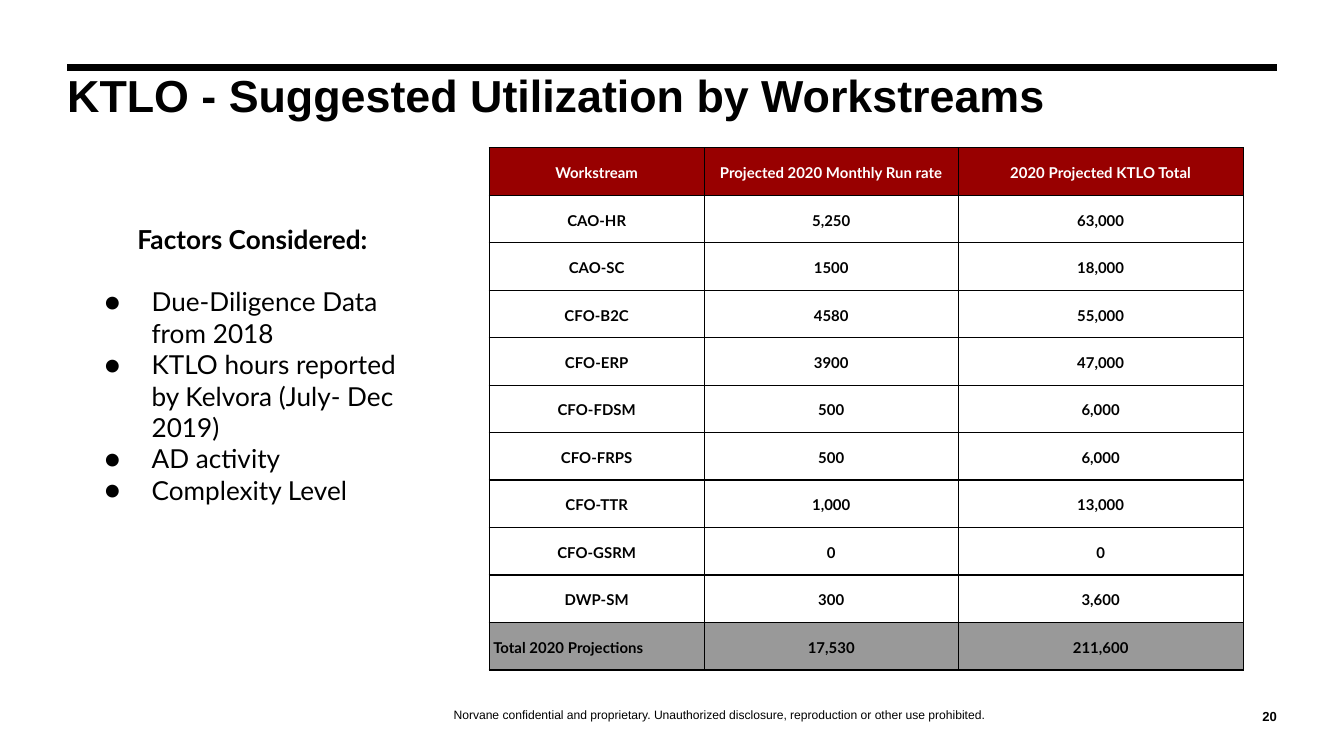
import lxml.etree
import pptx
import pptx.dml.color
import pptx.enum.shapes
import pptx.enum.text
import pptx.oxml.ns
import pptx.util

Inches = pptx.util.Inches
Pt = pptx.util.Pt
RGBColor = pptx.dml.color.RGBColor
ALIGN = pptx.enum.text.PP_ALIGN
ANCHOR = pptx.enum.text.MSO_ANCHOR
qn = pptx.oxml.ns.qn

BLACK = RGBColor(0x00, 0x00, 0x00)
WHITE = RGBColor(0xFF, 0xFF, 0xFF)
HEADER_RED = RGBColor(0x98, 0x00, 0x00)
TOTAL_GRAY = RGBColor(0x99, 0x99, 0x99)

SLIDE_WIDTH = 10
COLUMN_WIDTHS = [1.6, 1.89, 2.12]
ROW_HEIGHT = 0.35
WORKSTREAMS = [
    ("Workstream", "Projected 2020 Monthly Run rate", "2020 Projected KTLO Total"),
    ("CAO-HR", "5,250", "63,000"),
    ("CAO-SC", "1500", "18,000"),
    ("CFO-B2C", "4580", "55,000"),
    ("CFO-ERP", "3900", "47,000"),
    ("CFO-FDSM", "500", "6,000"),
    ("CFO-FRPS", "500", "6,000"),
    ("CFO-TTR", "1,000", "13,000"),
    ("CFO-GSRM", "0", "0"),
    ("DWP-SM", "300", "3,600"),
    ("Total 2020 Projections", "17,530", "211,600"),
]
FACTORS = [
    "Due-Diligence Data from 2018",
    "KTLO hours reported by Kelvora (July- Dec 2019)",
    "AD activity",
    "Complexity Level",
]


def write_text(para, text, font="Lato", size=14, color=BLACK, bold=False,
               align=ALIGN.LEFT, line_spacing=None, space_after=None):
    """Write formatted text into a paragraph."""
    para.alignment = align
    if line_spacing is not None:
        para.line_spacing = line_spacing
    if space_after is not None:
        para.space_after = Pt(space_after)
    span = para.add_run()
    span.text = text
    span.font.name = font
    span.font.size = Pt(size)
    span.font.bold = bold
    span.font.color.rgb = color


def add_box(page, left, top, width, height, inset=0, anchor=ANCHOR.TOP):
    """Add a wrapping text box and return its text frame."""
    box = page.shapes.add_textbox(Inches(left), Inches(top), Inches(width), Inches(height))
    frame = box.text_frame
    frame.word_wrap = True
    frame.vertical_anchor = anchor
    frame.margin_left = frame.margin_right = Inches(inset)
    frame.margin_top = frame.margin_bottom = Inches(inset)
    return frame


def add_rule(page, left, right, top, weight):
    """Add a horizontal black rule."""
    rule = page.shapes.add_connector(
        pptx.enum.shapes.MSO_CONNECTOR.STRAIGHT,
        Inches(left), Inches(top), Inches(right), Inches(top))
    rule.line.color.rgb = BLACK
    rule.line.width = Pt(weight)
    lxml.etree.SubElement(rule._element.spPr, qn("a:effectLst"))


def add_bullet(para):
    """Give a paragraph a hanging round bullet."""
    properties = para._p.get_or_add_pPr()
    properties.set("marL", str(Inches(0.5)))
    properties.set("indent", str(Inches(-0.35)))
    bullet_color = lxml.etree.SubElement(properties, qn("a:buClr"))
    lxml.etree.SubElement(bullet_color, qn("a:srgbClr"), val=str(BLACK))
    lxml.etree.SubElement(properties, qn("a:buFont"), typeface="Lato")
    lxml.etree.SubElement(properties, qn("a:buChar"), char="●")


def add_borders(cell, weight):
    """Draw black borders on all four sides of a cell."""
    properties = cell._tc.get_or_add_tcPr()
    for side in ("a:lnL", "a:lnR", "a:lnT", "a:lnB"):
        border = lxml.etree.SubElement(properties, qn(side), w=str(Pt(weight)))
        fill = lxml.etree.SubElement(border, qn("a:solidFill"))
        lxml.etree.SubElement(fill, qn("a:srgbClr"), val=str(BLACK))


def fill_cell(cell, text, fill, color, align):
    """Format one table cell and write its text."""
    cell.margin_left = cell.margin_right = Inches(0.03)
    cell.margin_top = cell.margin_bottom = Inches(0.1)
    cell.vertical_anchor = ANCHOR.BOTTOM
    add_borders(cell, 0.75)
    cell.fill.solid()
    cell.fill.fore_color.rgb = fill
    write_text(cell.text_frame.paragraphs[0], text, size=8, color=color,
               bold=True, align=align, line_spacing=1.15)


def add_workstream_table(page, left, top):
    """Add the table of projections with header and total rows."""
    last = len(WORKSTREAMS) - 1
    table = page.shapes.add_table(
        len(WORKSTREAMS), len(COLUMN_WIDTHS), Inches(left), Inches(top),
        Inches(sum(COLUMN_WIDTHS)), Inches(ROW_HEIGHT * len(WORKSTREAMS))).table
    for column, width in zip(table.columns, COLUMN_WIDTHS):
        column.width = Inches(width)
    for i, values in enumerate(WORKSTREAMS):
        table.rows[i].height = Inches(ROW_HEIGHT)
        fill = {0: HEADER_RED, last: TOTAL_GRAY}.get(i, WHITE)
        color = WHITE if i == 0 else BLACK
        for j, value in enumerate(values):
            align = ALIGN.LEFT if (i, j) == (last, 0) else ALIGN.CENTER
            fill_cell(table.cell(i, j), value, fill, color, align)


def add_factors(page):
    """Add the heading and bulleted list of factors."""
    frame = add_box(page, 0.53, 1.56, 2.7, 2.36, inset=0.1)
    write_text(frame.paragraphs[0], "Factors Considered:", bold=True,
               align=ALIGN.CENTER, space_after=16.8)
    for factor in FACTORS:
        para = frame.add_paragraph()
        write_text(para, factor)
        add_bullet(para)


def main():
    """Build and save the slide."""
    deck = pptx.Presentation()
    deck.slide_width = Inches(SLIDE_WIDTH)
    deck.slide_height = Inches(SLIDE_WIDTH * 9 / 16)
    page = deck.slides.add_slide(deck.slide_layouts[6])

    footer = add_box(page, 1.46, 5.04, 7.79, 0.33, anchor=ANCHOR.BOTTOM)
    write_text(footer.paragraphs[0],
               "Norvane confidential and proprietary. Unauthorized disclosure, "
               "reproduction or other use prohibited.",
               font="Arial", size=6.5, align=ALIGN.CENTER, line_spacing=1.14)
    add_rule(page, 0.5, 9.5, 0.5, 3.75)
    number = add_box(page, 9.25, 5.14, 0.25, 0.25, anchor=ANCHOR.BOTTOM)
    write_text(number.paragraphs[0], "20", font="Arial", size=7, bold=True,
               align=ALIGN.RIGHT)
    title = add_box(page, 0.5, 0.58, 7.75, 0.36)
    write_text(title.paragraphs[0], "KTLO - Suggested Utilization by Workstreams",
               font="Arial", size=24, bold=True, line_spacing=0.8)
    add_workstream_table(page, 3.64, 1.1)
    add_factors(page)

    deck.save("out.pptx")


if __name__ == "__main__":
    main()
